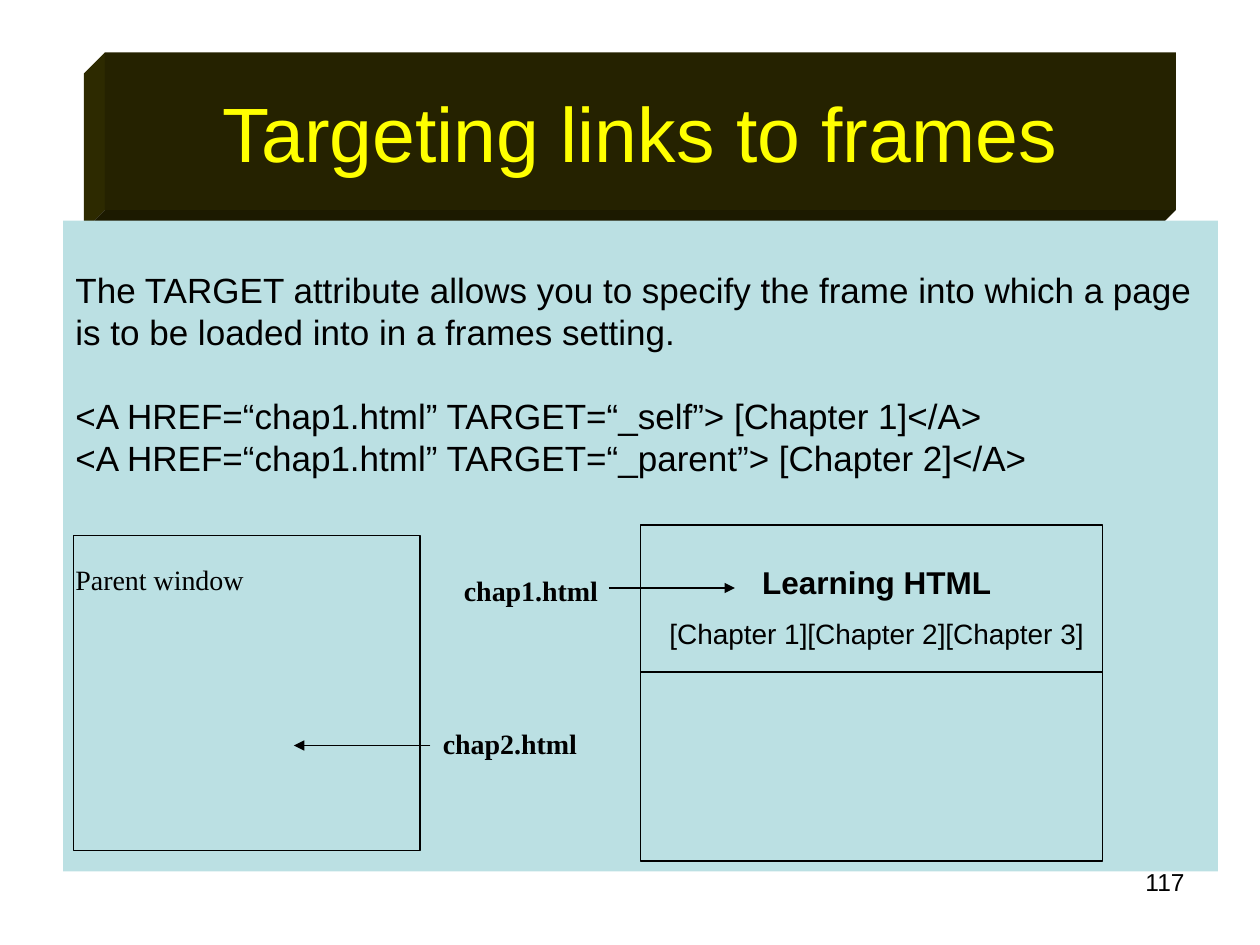
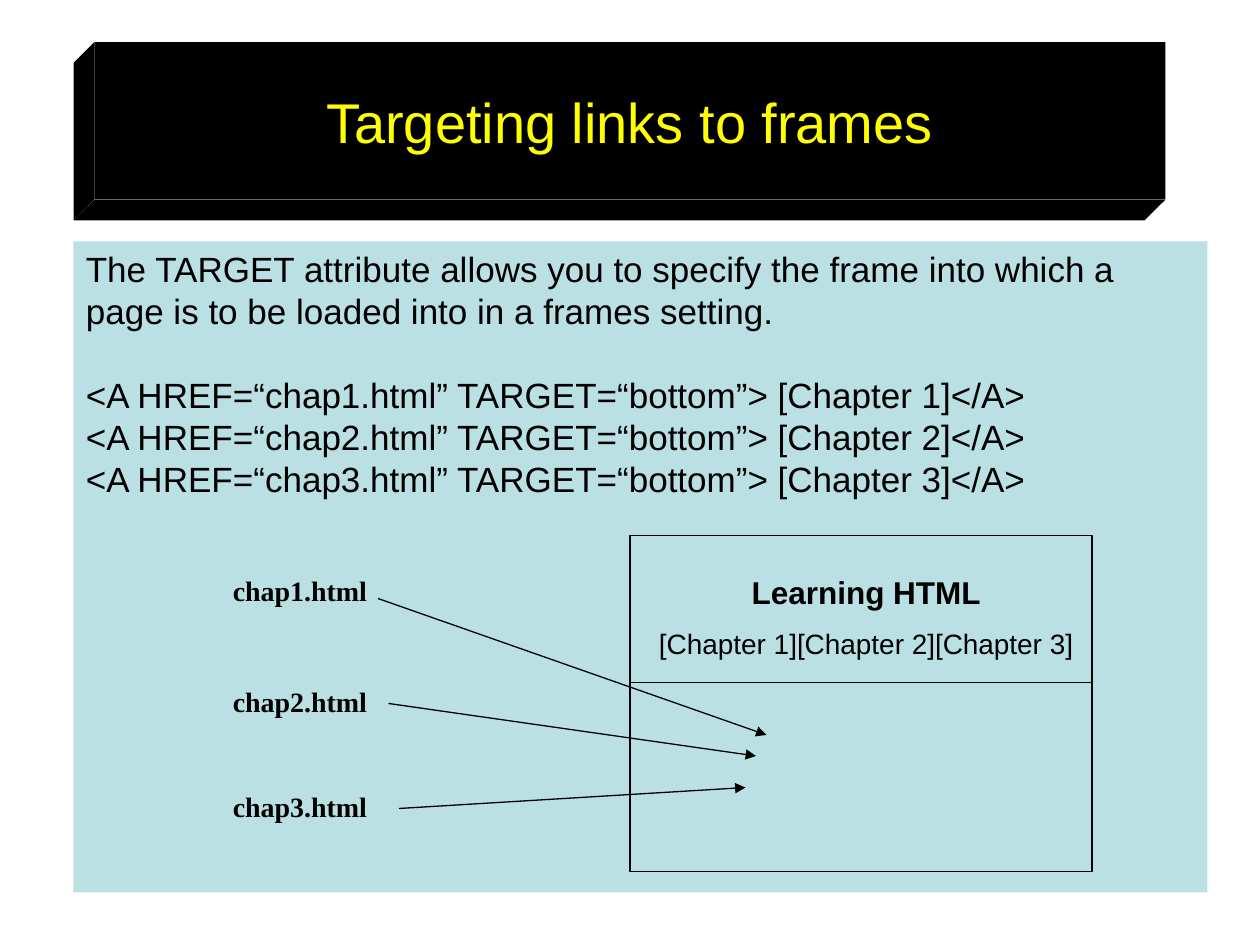
from dataclasses import dataclass

from lxml.etree import SubElement
from pptx import Presentation
from pptx.dml.color import RGBColor
from pptx.enum.shapes import MSO_CONNECTOR, MSO_SHAPE
from pptx.enum.text import MSO_ANCHOR, PP_ALIGN
from pptx.oxml.ns import qn
from pptx.util import Inches, Pt


@dataclass(frozen=True)
class Theme:
    ink: str = "000000"
    panel: str = "BBE0E3"
    title: str = "FFFF00"
    olive: tuple = ("252200", "2D2A00", "1C1A00")
    black: tuple = ("000000", "000000", "000000")
    sans: str = "Arial"
    serif: str = "Times New Roman"
    body_size: int = 20
    heading_size: int = 18
    label_size: int = 16
    number_size: int = 14
    blank_line: int = 24
    rule: float = 0.75
    depth: int = 2


THEME = Theme()
COLUMNS, ROWS = 120, 90
TITLE = "Targeting links to frames"
INTRO = ("The TARGET attribute allows you to specify the frame into which "
         "a page is to be loaded into in a frames setting.")


def grid(*cells):
    return [Inches(cell * 10 / COLUMNS) for cell in cells]


def rgb(value):
    return RGBColor.from_string(value)


def write(frame, lines, align=PP_ALIGN.LEFT, **frame_format):
    for key, value in {"word_wrap": True, **frame_format}.items():
        setattr(frame, key, value)
    for index, (text, look) in enumerate(lines):
        paragraph = frame.paragraphs[0] if index == 0 else frame.add_paragraph()
        paragraph.alignment = align
        paragraph.space_before = Pt(look.get("before", 0))
        run = paragraph.add_run()
        run.text = text
        font_format = {"name": look.get("name", THEME.sans),
                       "size": Pt(look.get("size", THEME.body_size)),
                       "bold": look.get("bold", False)}
        for key, value in font_format.items():
            setattr(run.font, key, value)
        run.font.color.rgb = rgb(look.get("color", THEME.ink))


def add_text(slide, box, lines, align=PP_ALIGN.LEFT):
    write(slide.shapes.add_textbox(*grid(*box)).text_frame, lines, align)


def paint(shape, color):
    shape.shadow.inherit = False
    shape.fill.solid()
    shape.fill.fore_color.rgb = rgb(color)
    shape.line.fill.background()


def add_panel(slide, box, color):
    panel = slide.shapes.add_shape(MSO_SHAPE.RECTANGLE, *grid(*box))
    paint(panel, color)
    return panel


def add_outline(slide, box):
    outline = slide.shapes.add_shape(MSO_SHAPE.RECTANGLE, *grid(*box))
    outline.shadow.inherit = False
    outline.fill.background()
    outline.line.color.rgb = rgb(THEME.ink)
    outline.line.width = Pt(THEME.rule)


def add_line(slide, start, end, arrow=False):
    line = slide.shapes.add_connector(
        MSO_CONNECTOR.STRAIGHT, *grid(*start, *end))
    line.line.color.rgb = rgb(THEME.ink)
    line.line.width = Pt(THEME.rule)
    if arrow:
        SubElement(line.line._get_or_add_ln(), qn("a:tailEnd"), type="triangle")
    SubElement(line._element.spPr, qn("a:effectLst"))


def add_face(slide, corners, color):
    first, *others = [tuple(grid(*corner)) for corner in corners]
    builder = slide.shapes.build_freeform(*first)
    builder.add_line_segments(others)
    paint(builder.convert_to_shape(), color)


def add_title_block(slide, left, top, size, colors):
    width, height, depth = 102, 15, THEME.depth
    right, bottom = left + width, top + height
    front, side, base = colors
    shared_edge = [(left, bottom), (left - depth, bottom + depth)]
    add_face(slide, [(left, top), *shared_edge, (left - depth, top + depth)], side)
    add_face(slide, [*shared_edge, (right - depth, bottom + depth),
                     (right, bottom)], base)
    block = add_panel(slide, (left, top, width, height), front)
    write(block.text_frame, [(TITLE, {"size": size, "color": THEME.title})],
          PP_ALIGN.CENTER, vertical_anchor=MSO_ANCHOR.MIDDLE)


def add_body(slide, box, links, closing=(), blank_lines_above=0):
    code = [(f"<A HREF=“{file}” TARGET=“{target}”> [Chapter {chapter}]</A>",
             {"before": 0 if index else THEME.blank_line})
            for index, (file, target, chapter) in enumerate(links)]
    body = add_panel(slide, box, THEME.panel)
    write(body.text_frame, [(INTRO, {}), *code, *closing],
          vertical_anchor=MSO_ANCHOR.TOP,
          margin_top=Inches(0.05) + Pt(THEME.blank_line * blank_lines_above))


def add_browser(slide, left, top):
    width, height, divider = 44, 32, top + 14
    chapters = "".join(f"[Chapter {number}]" for number in (1, 2, 3))
    add_text(slide, (left + 1, top + 3, width - 1, 9.6), [
        ("Learning HTML", {"size": THEME.heading_size, "bold": True}),
        (chapters, {"size": THEME.label_size, "before": 9}),
    ], PP_ALIGN.CENTER)
    add_outline(slide, (left, top, width, height))
    add_line(slide, (left, divider), (left + width, divider))


def add_file_arrow(slide, file, label_at, start, end):
    look = {"name": THEME.serif, "size": THEME.label_size, "bold": True}
    add_text(slide, (*label_at, 17, 4.4), [(file, look)])
    add_line(slide, start, end, arrow=True)


def build_self_and_parent(slide):
    add_text(slide, (86, 82, 28, 6.2),
             [("117", {"size": THEME.number_size})], PP_ALIGN.RIGHT)
    add_title_block(slide, 10, 5, 44, THEME.olive)
    parent_label = ("Parent window", {"name": THEME.serif, "size": THEME.label_size,
                                      "before": 2 * THEME.blank_line})
    add_body(slide, (6, 21, 110, 62),
             [("chap1.html", "_self", 1), ("chap1.html", "_parent", 2)],
             [parent_label], blank_lines_above=1)
    add_browser(slide, 61, 50)
    add_file_arrow(slide, "chap1.html", (43, 54), (58, 56), (70, 56))
    add_file_arrow(slide, "chap2.html", (41, 68.6), (41, 71), (28, 71))
    add_outline(slide, (7, 51, 33, 30))


def build_bottom_frame(slide):
    files = [f"chap{chapter}.html" for chapter in (1, 2, 3)]
    add_title_block(slide, 9, 4, 32, THEME.black)
    add_body(slide, (7, 23, 108, 62),
             [(file, "bottom", chapter) for chapter, file in enumerate(files, 1)])
    add_browser(slide, 60, 51)
    label_rows = (54, 64.6, 74.6)
    end_rows = (70, 72, 75)
    for index, (file, row, end_row) in enumerate(zip(files, label_rows, end_rows)):
        add_file_arrow(slide, file, (21, row),
                       (36 + index, 57 + 10 * index), (73 - index, end_row))


def main():
    deck = Presentation()
    deck.slide_width, deck.slide_height = grid(COLUMNS, ROWS)
    for build in (build_self_and_parent, build_bottom_frame):
        build(deck.slides.add_slide(deck.slide_layouts[6]))
    deck.save("out.pptx")


if __name__ == "__main__":
    main()
